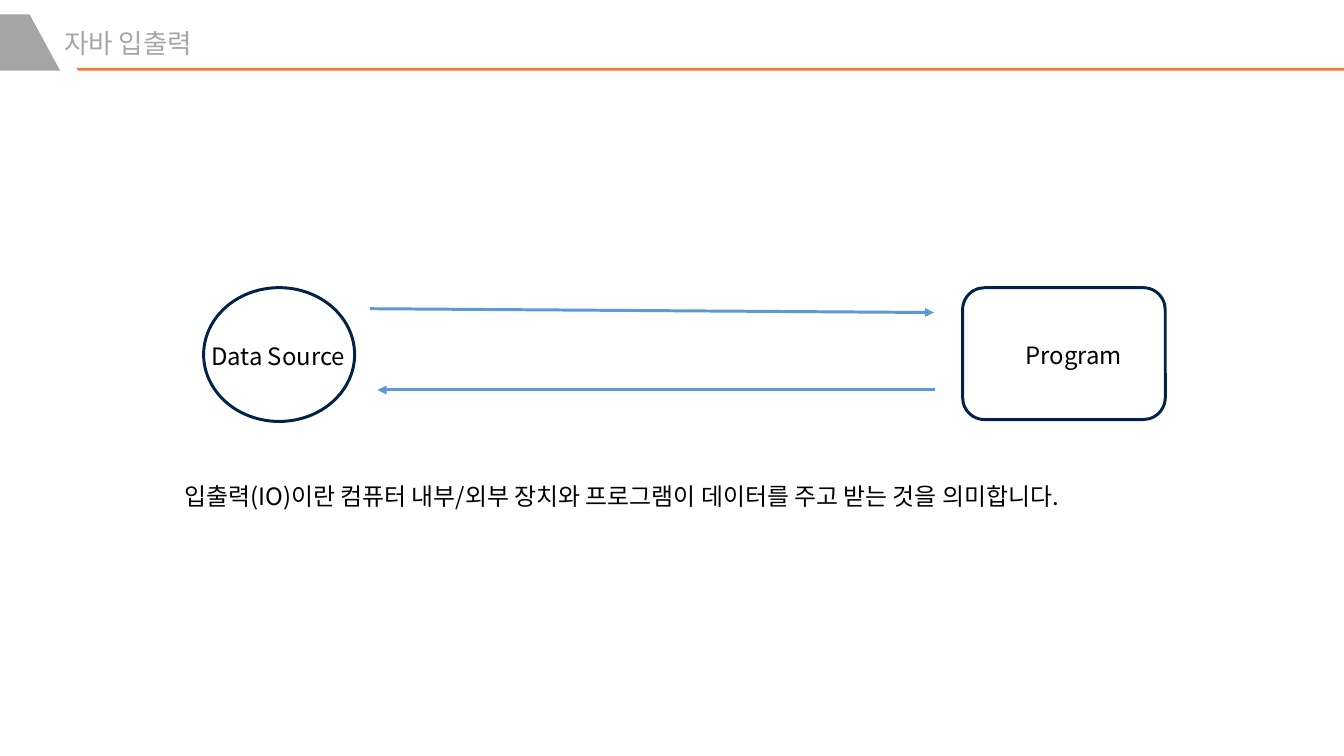
from dataclasses import dataclass

from lxml.etree import SubElement
from pptx import Presentation
from pptx.dml.color import RGBColor as RGB
from pptx.enum.shapes import MSO_CONNECTOR as Link, MSO_SHAPE as Kind
from pptx.enum.text import MSO_ANCHOR as Anchor, PP_ALIGN as Align
from pptx.oxml.ns import qn
from pptx.util import Inches, Pt


@dataclass
class Theme:
    font: str = "Noto Sans CJK KR"
    head: int = 20
    body: int = 18
    stroke: float = 2.25
    black: RGB = RGB(0, 0, 0)
    white: RGB = RGB(255, 255, 255)
    gray: RGB = RGB(0xA5, 0xA5, 0xA5)
    title: RGB = RGB(0xA6, 0xA6, 0xA6)
    orange: RGB = RGB(0xED, 0x7D, 0x31)
    navy: RGB = RGB(0x00, 0x23, 0x49)
    blue: RGB = RGB(0x5B, 0x9B, 0xD5)


def assign(item, values):
    for name, value in values.items():
        setattr(item, name, value)


class Page:
    def __init__(self, slide, theme):
        self.slide, self.theme = slide, theme
        self.shapes = slide.shapes

    def text(self, shape, words, size, color, pad=(0.1, 0.05), wrap=True, align=Align.LEFT):
        frame = shape.text_frame
        side, edge = map(Inches, pad)
        assign(frame, dict(margin_left=side, margin_right=side, margin_top=edge,
                           margin_bottom=edge, word_wrap=wrap,
                           vertical_anchor=Anchor.MIDDLE))
        para = frame.paragraphs[0]
        assign(para, dict(alignment=align, space_before=Pt(0)))
        run = para.add_run()
        run.text = words
        assign(run.font, dict(size=Pt(size), name=self.theme.font, bold=False))
        run.font.color.rgb = color
        SubElement(run.font._element, qn("a:ea"), typeface=self.theme.font)

    def title(self, words, *box):
        shape = self.shapes.title
        assign(shape, dict(zip(("left", "top", "width", "height"), map(Inches, box))))
        self.text(shape, words, self.theme.head, self.theme.title, pad=(0, 0))

    def label(self, words, *box):
        shape = self.shapes.add_textbox(*map(Inches, box))
        self.text(shape, words, self.theme.body, self.theme.black, wrap=False)

    def node(self, kind, color, width, *box):
        shape = self.shapes.add_shape(kind, *map(Inches, box))
        shape.shadow.inherit = False
        shape.fill.background()
        shape.line.color.rgb = color
        shape.line.width = Pt(width)
        return shape

    def area(self, color, *points):
        start, *rest = [(Inches(x), Inches(y)) for x, y in points]
        pen = self.shapes.build_freeform(*start)
        pen.add_line_segments(rest, close=True)
        shape = pen.convert_to_shape()
        shape.shadow.inherit = False
        shape.fill.solid()
        shape.fill.fore_color.rgb = color
        shape.line.fill.background()

    def arrow(self, *ends):
        link = self.shapes.add_connector(Link.STRAIGHT, *map(Inches, ends))
        link.line.color.rgb = self.theme.blue
        link.line.width = Pt(self.theme.stroke)
        SubElement(link.get_or_add_ln(), qn("a:tailEnd"), type="triangle")
        SubElement(link._element.spPr, qn("a:effectLst"))


def main():
    deck = Presentation()
    assign(deck, dict(slide_width=Inches(14.06), slide_height=Inches(7.91)))
    theme = Theme()
    page = Page(deck.slides.add_slide(deck.slide_layouts[5]), theme)

    # Header band and title
    page.area(theme.orange, (0.8, 0.71), (14.06, 0.71), (14.06, 0.74), (0.82, 0.74))
    page.area(theme.gray, (0.31, 0.15), (0.63, 0.74), (0, 0.74), (0, 0.15))
    page.title("자바 입출력", 0.67, 0.28, 3.36, 0.34)

    # Data source and program
    page.node(Kind.OVAL, theme.navy, theme.stroke, 2.13, 3.01, 1.58, 1.4)
    page.node(Kind.ROUNDED_RECTANGLE, theme.navy, theme.stroke, 10.07, 3.01, 2.12, 1.38)
    page.label("Data Source", 2.11, 3.52, 1.64, 0.41)
    page.label("Program", 10.63, 3.51, 1.23, 0.41)

    # Data flow in both directions
    page.arrow(3.87, 3.23, 9.77, 3.27)
    page.arrow(9.78, 4.08, 3.95, 4.08)

    # Explanation
    note = page.node(Kind.RECTANGLE, theme.white, 0, 1.83, 4.98, 11.2, 0.41)
    page.text(note, "입출력(IO)이란 컴퓨터 내부/외부 장치와 프로그램이 데이터를 주고 받는 것을 의미합니다.",
              theme.body, theme.black, align=Align.JUSTIFY)

    deck.save("out.pptx")


if __name__ == "__main__":
    main()
